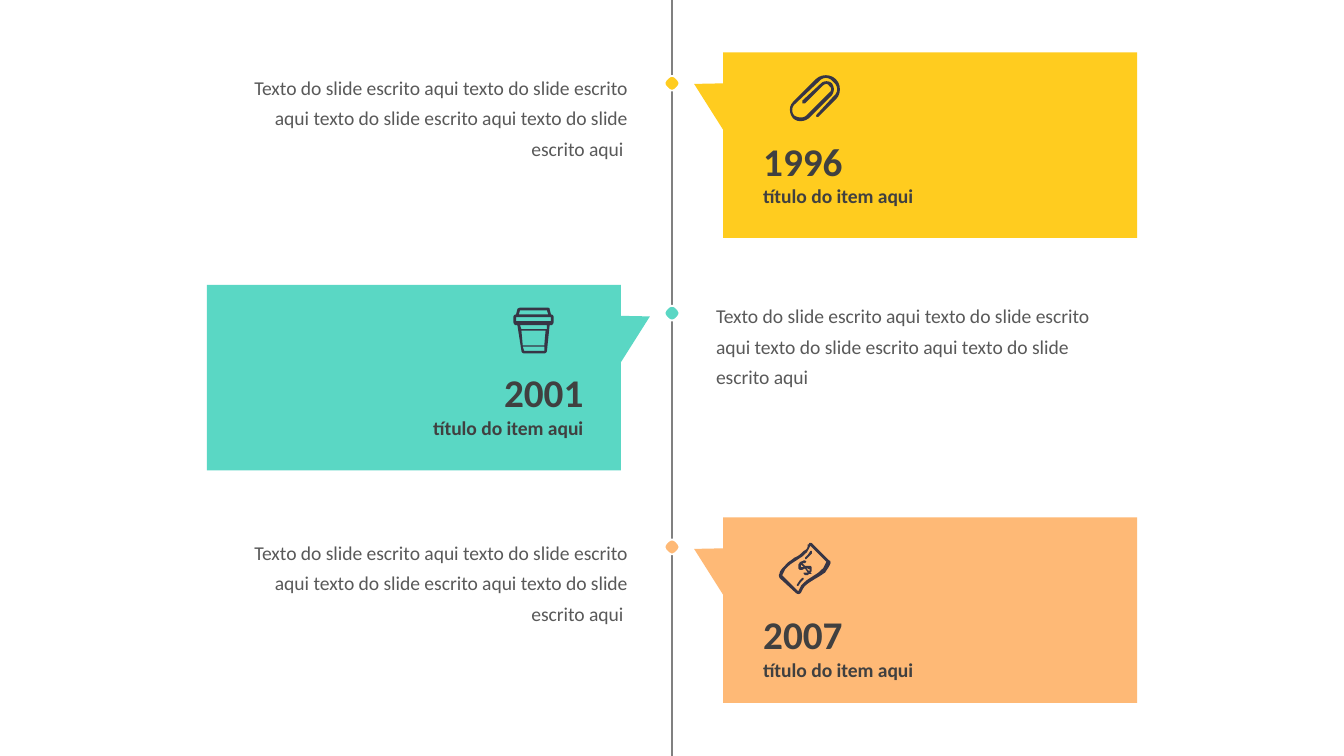
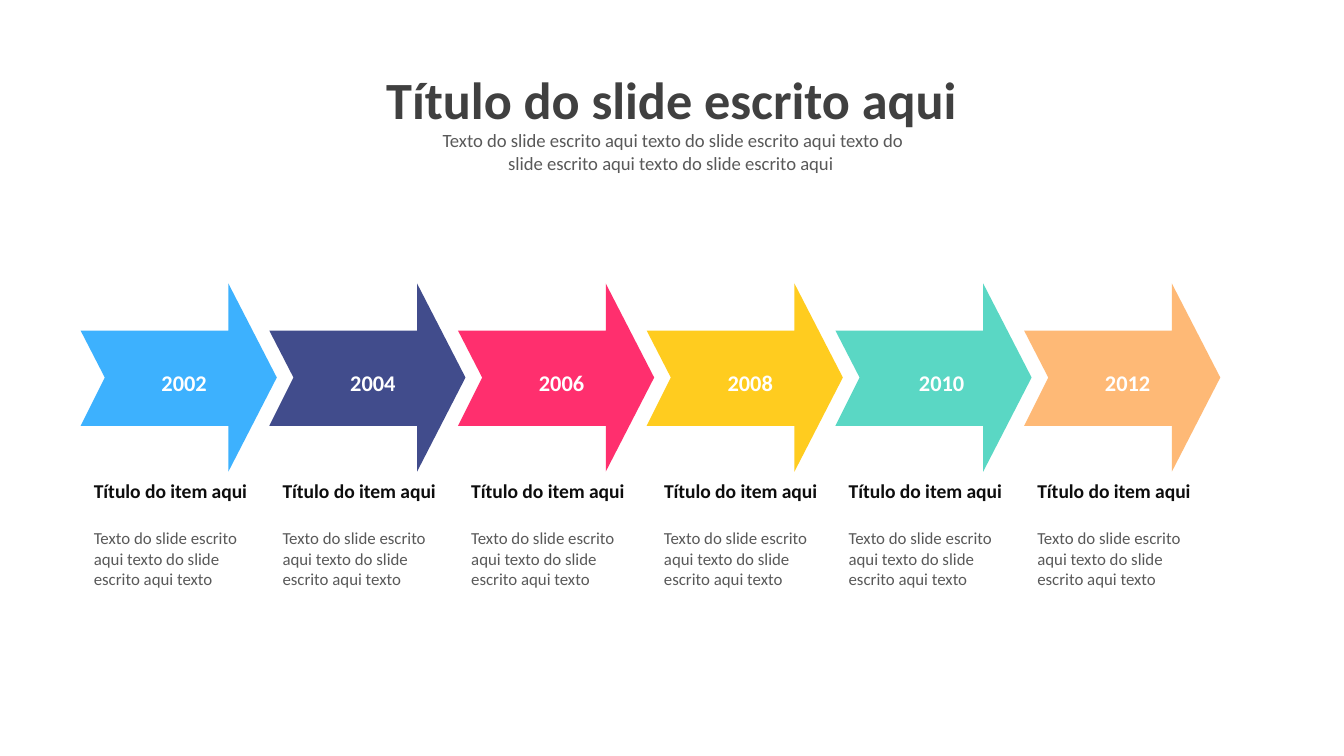
from dataclasses import dataclass

from pptx import Presentation
from pptx.dml.color import RGBColor
from pptx.enum.shapes import MSO_CONNECTOR, MSO_SHAPE
from pptx.enum.text import MSO_ANCHOR, MSO_AUTO_SIZE, PP_ALIGN
from pptx.oxml.ns import qn
from pptx.util import Inches, Pt
from lxml import etree

LEFT, CENTER, RIGHT = PP_ALIGN.LEFT, PP_ALIGN.CENTER, PP_ALIGN.RIGHT
TOP, MIDDLE = MSO_ANCHOR.TOP, MSO_ANCHOR.MIDDLE
CALLOUT, ROUNDED = MSO_SHAPE.RECTANGULAR_CALLOUT, MSO_SHAPE.ROUNDED_RECTANGLE
STRAIGHT = MSO_CONNECTOR.STRAIGHT
GROW, FIXED = MSO_AUTO_SIZE.SHAPE_TO_FIT_TEXT, MSO_AUTO_SIZE.NONE

SLIDE_W = 10
SLIDE_H = SLIDE_W * 9 / 16
TITLE_LAYOUT, BLANK_LAYOUT = 0, 6


@dataclass(frozen=True)
class Style:
    size: float
    color: str
    bold: bool = False
    spacing: float = 1.0


class Theme:
    font = "Calibri"
    blue, navy, pink = "3DB1FE", "414C8C", "FF2F6E"
    yellow, teal, orange = "FFCC1F", "5AD7C4", "FEB976"
    white, axis, icon = "FFFFFF", "808080", "373545"
    title = Style(28, "404040", True)
    subtitle = Style(10, "595959")
    card_year = Style(21, "404040", True)
    card_title = Style(10.5, "404040", True, 1.3)
    card_body = Style(10.5, "595959", spacing=1.3)
    step_year = Style(12, white, True)
    step_title = Style(10.5, "0D0D0D", True)
    step_body = Style(9, "595959")


@dataclass(frozen=True)
class Event:
    year: str
    color: str
    on_right: bool
    dot_top: float
    body_top: float
    year_top: float
    icon_at: tuple
    icon: tuple


@dataclass(frozen=True)
class Step:
    year: str
    color: str
    caption_shift: float = 0
    year_shift: float = 0.16


PHRASE = "exto do slide escrito aqui"
LONG_TEXT = " t".join(["T" + PHRASE] + [PHRASE] * 3)
STEP_TEXT = "T" + PHRASE + " t" + PHRASE + " texto"

# Icon outlines in hundredths of an inch: M moves, L draws a line, C a cubic curve.
PAPERCLIP = (
    "M 35 4 C 31 0 24 0 20 4 L 3 21 C 0 24 0 29 3 33 C 6 36 11 36 15 33 "
    "L 32 16 C 34 13 34 10 32 7 C 30 5 26 5 24 7 L 10 20 C 10 21 10 21 10 22 "
    "L 12 22 L 25 9 C 27 7 29 7 30 9 C 32 10 32 13 30 14 L 13 31 "
    "C 11 33 7 33 4 31 C 2 29 2 25 4 23 L 22 6 C 25 2 30 2 33 6 "
    "C 37 9 37 14 33 17 L 21 30 C 20 31 20 32 21 32 L 22 32 L 35 19 "
    "C 39 15 39 8 35 4",
)
CUP = (
    "M 28 10 L 2 10 L 2 7 L 28 7 M 25 16 L 6 16 L 5 13 L 25 13 "
    "M 23 28 L 7 28 L 6 17 L 24 17 M 8 32 L 7 29 L 23 29 L 23 32 "
    "M 5 2 L 25 2 L 26 5 L 4 5 "
    "M 28 5 L 27 1 C 27 0 26 0 25 0 L 5 0 C 5 0 4 0 3 1 L 2 5 "
    "C 1 5 0 6 0 7 L 0 10 C 0 12 1 13 2 13 L 3 13 L 6 32 "
    "C 6 33 7 34 8 34 L 23 34 C 24 34 25 33 25 32 L 27 13 L 28 13 "
    "C 29 13 30 12 30 10 L 30 7 C 30 6 29 5 28 5",
)
BANKNOTE = (
    "M 14 36 C 10 32 6 28 2 24 C 5 13 20 13 23 2 C 27 6 31 10 35 14 "
    "C 32 25 17 25 14 36 M 37 13 L 25 1 C 24 0 24 0 23 0 C 22 0 22 0 22 1 "
    "C 21 1 21 1 21 2 C 21 4 20 5 18 6 C 16 8 14 10 11 11 "
    "C 9 13 6 14 4 17 C 2 19 0 21 0 23 C -1 24 0 25 0 26 L 12 37 "
    "C 13 38 14 38 14 38 C 15 38 15 38 16 37 C 17 35 18 33 19 32 "
    "C 21 30 23 29 26 27 C 28 26 31 24 34 22 C 35 20 37 18 38 15 "
    "C 38 14 38 13 37 13",
    "M 22 21 L 20 19 L 21 19 L 23 20 M 17 18 L 16 18 L 16 16 L 18 18 "
    "M 23 17 L 19 17 L 17 15 L 19 15 L 20 14 L 19 13 L 18 13 L 16 14 "
    "L 15 14 L 15 15 L 14 16 L 14 19 L 15 20 L 17 20 L 19 19 L 21 22 "
    "L 18 22 L 18 23 L 19 24 L 21 24 L 22 23 L 24 23 L 23 22 L 24 21 L 24 18",
    "M 17 26 L 15 28 L 13 31 L 13 32 L 14 32 L 16 29 L 18 27 L 18 26",
    "M 21 9 L 19 11 L 19 12 L 20 12 L 22 10 L 24 8 L 24 6 L 23 6",
)

EVENTS = (
    Event("1996", Theme.yellow, True, 0.57, 0.46, 0.97, (5.87, 0.55), PAPERCLIP),
    Event("2001", Theme.teal, False, 2.28, 2.16, 2.69, (3.82, 2.29), CUP),
    Event("2007", Theme.orange, True, 4.02, 3.92, 4.49, (5.8, 4.04), BANKNOTE),
)
STEPS = (
    Step("2002", Theme.blue), Step("2004", Theme.navy), Step("2006", Theme.pink),
    Step("2008", Theme.yellow, caption_shift=0.03),
    Step("2010", Theme.teal, year_shift=0.18), Step("2012", Theme.orange),
)

CARD_W, CARD_H = 3.08, 1.38
CARD_TOP, CARD_PITCH = 0.39, 1.73
DOT = 0.1
STEP_LEFT, LAST_STEP_LEFT = 0.6, 7.62
STEP_PITCH = (LAST_STEP_LEFT - STEP_LEFT) / (len(STEPS) - 1)
ARROW_TOP = 2.11
ARROW_OUTLINE = ((1.1, 0), (1.1, 0.35), (0, 0.35), (0.18, 0.7),
                 (0, 1.06), (1.1, 1.06), (1.1, 1.4), (1.46, 0.7))


def inches(*lengths):
    return [Inches(length) for length in lengths]


def paint(shape, color, outline=None):
    shape.shadow.inherit = False
    shape.fill.solid()
    shape.fill.fore_color.rgb = RGBColor.from_string(color)
    if outline:
        shape.line.color.rgb = RGBColor.from_string(outline)
        shape.line.width = Pt(1)
    else:
        shape.line.fill.background()


def write(holder, text, style, align=LEFT, anchor=TOP, fit=GROW):
    frame = holder.text_frame
    frame.word_wrap = True
    frame.auto_size = fit
    frame.vertical_anchor = anchor
    frame.text = text
    paragraph = frame.paragraphs[0]
    paragraph.alignment = align
    paragraph.line_spacing = style.spacing
    paragraph.space_before = Pt(0)
    paragraph.font.name = Theme.font
    paragraph.font.size = Pt(style.size)
    paragraph.font.bold = style.bold
    paragraph.font.color.rgb = RGBColor.from_string(style.color)


def add_text(slide, box, text, style, align=LEFT, anchor=TOP):
    write(slide.shapes.add_textbox(*inches(*box)), text, style, align, anchor)


def fill_placeholder(placeholder, box, text, style):
    (placeholder.left, placeholder.top,
     placeholder.width, placeholder.height) = inches(*box)
    write(placeholder, text, style, CENTER, fit=FIXED)


def add_outline(slide, contours, color):
    """Fill closed contours, given in slide inches, as one freeform."""
    first, *others = [[inches(*point) for point in points] for points in contours]
    builder = slide.shapes.build_freeform(*first[0])
    builder.add_line_segments(first[1:], close=True)
    for points in others:
        builder.move_to(*points[0])
        builder.add_line_segments(points[1:], close=True)
    paint(builder.convert_to_shape(), color)


def trace(outline, steps=6):
    """Turn an icon outline into contours, sampling its curves."""
    contours = []
    tokens = iter(outline.split())
    for command in tokens:
        count = 3 if command == "C" else 1
        points = [(int(next(tokens)), int(next(tokens))) for _ in range(count)]
        if command == "M":
            contours.append(points)
        elif command == "L":
            contours[-1] += points
        else:
            bezier = [contours[-1][-1], *points]
            for step in range(1, steps + 1):
                t = step / steps
                weights = ((1 - t) ** 3, 3 * t * (1 - t) ** 2, 3 * t * t * (1 - t), t ** 3)
                contours[-1].append(tuple(
                    sum(w * point[axis] for w, point in zip(weights, bezier))
                    for axis in (0, 1)))
    return contours


def add_icon(slide, corner, outlines):
    left, top = corner
    for outline in outlines:
        contours = [[(left + x / 100, top + y / 100) for x, y in points]
                    for points in trace(outline)]
        add_outline(slide, contours, Theme.icon)


def add_axis(slide):
    axis = slide.shapes.add_connector(
        STRAIGHT, *inches(SLIDE_W / 2, 0, SLIDE_W / 2, SLIDE_H))
    axis.line.color.rgb = RGBColor.from_string(Theme.axis)
    axis.line.width = Pt(1)
    etree.SubElement(axis.element.spPr, qn("a:effectLst"))


def add_event(slide, row, event):
    def side(left, width, on_right):
        """Place a right-hand column, mirrored about the axis if needed."""
        return left if on_right else SLIDE_W - left - width

    card_left = side(5.38, CARD_W, event.on_right)
    card = slide.shapes.add_shape(
        CALLOUT, *inches(card_left, CARD_TOP + row * CARD_PITCH, CARD_W, CARD_H))
    card.adjustments[0] = -0.57 if event.on_right else 0.57
    card.adjustments[1] = -0.33
    paint(card, event.color)

    dot = slide.shapes.add_shape(
        ROUNDED, *inches((SLIDE_W - DOT) / 2, event.dot_top, DOT, DOT))
    dot.adjustments[0] = 0.37
    dot.rotation = 45
    paint(dot, event.color, Theme.white)

    card_align, body_align = (LEFT, RIGHT) if event.on_right else (RIGHT, LEFT)
    label_left = 5.58 if event.on_right else 5.56
    body = LONG_TEXT + (" " if event.on_right else "")
    add_text(slide, (side(5.23, 3.07, not event.on_right), event.body_top, 3.07, 0.78),
             body, Theme.card_body, body_align)
    add_text(slide, (side(label_left, 1.63, event.on_right), event.year_top + 0.3, 1.63, 0.32),
             "título do item aqui", Theme.card_title, card_align)
    add_text(slide, (side(label_left, 1.38, event.on_right), event.year_top, 1.38, 0.45),
             event.year, Theme.card_year, card_align)
    add_icon(slide, event.icon_at, event.icon)


def add_step(slide, column, step):
    left = STEP_LEFT + column * STEP_PITCH
    caption_left = left + step.caption_shift
    add_outline(slide, [[(left + x, ARROW_TOP + y) for x, y in ARROW_OUTLINE]], step.color)
    add_text(slide, (caption_left, 3.88, 1.34, 0.71), STEP_TEXT, Theme.step_body)
    add_text(slide, (caption_left, 3.51, 1.78, 0.28), "Título do item aqui",
             Theme.step_title, anchor=MIDDLE)
    add_text(slide, (left + step.year_shift, 2.7, 1.22, 0.3), step.year,
             Theme.step_year, CENTER)


def build_vertical_timeline(deck):
    slide = deck.slides.add_slide(deck.slide_layouts[BLANK_LAYOUT])
    add_axis(slide)
    for row, event in enumerate(EVENTS):
        add_event(slide, row, event)


def build_arrow_timeline(deck):
    slide = deck.slides.add_slide(deck.slide_layouts[TITLE_LAYOUT])
    for column, step in enumerate(STEPS):
        add_step(slide, column, step)
    title, subtitle = slide.placeholders
    fill_placeholder(title, (1.95, 0.45, 6.09, 0.57),
                     "Título do slide escrito aqui", Theme.title)
    fill_placeholder(subtitle, (3.1, 0.91, 3.81, 0.44), LONG_TEXT + " ", Theme.subtitle)


def main():
    deck = Presentation()
    deck.slide_width, deck.slide_height = inches(SLIDE_W, SLIDE_H)
    build_vertical_timeline(deck)
    build_arrow_timeline(deck)
    deck.save("out.pptx")


if __name__ == "__main__":
    main()
